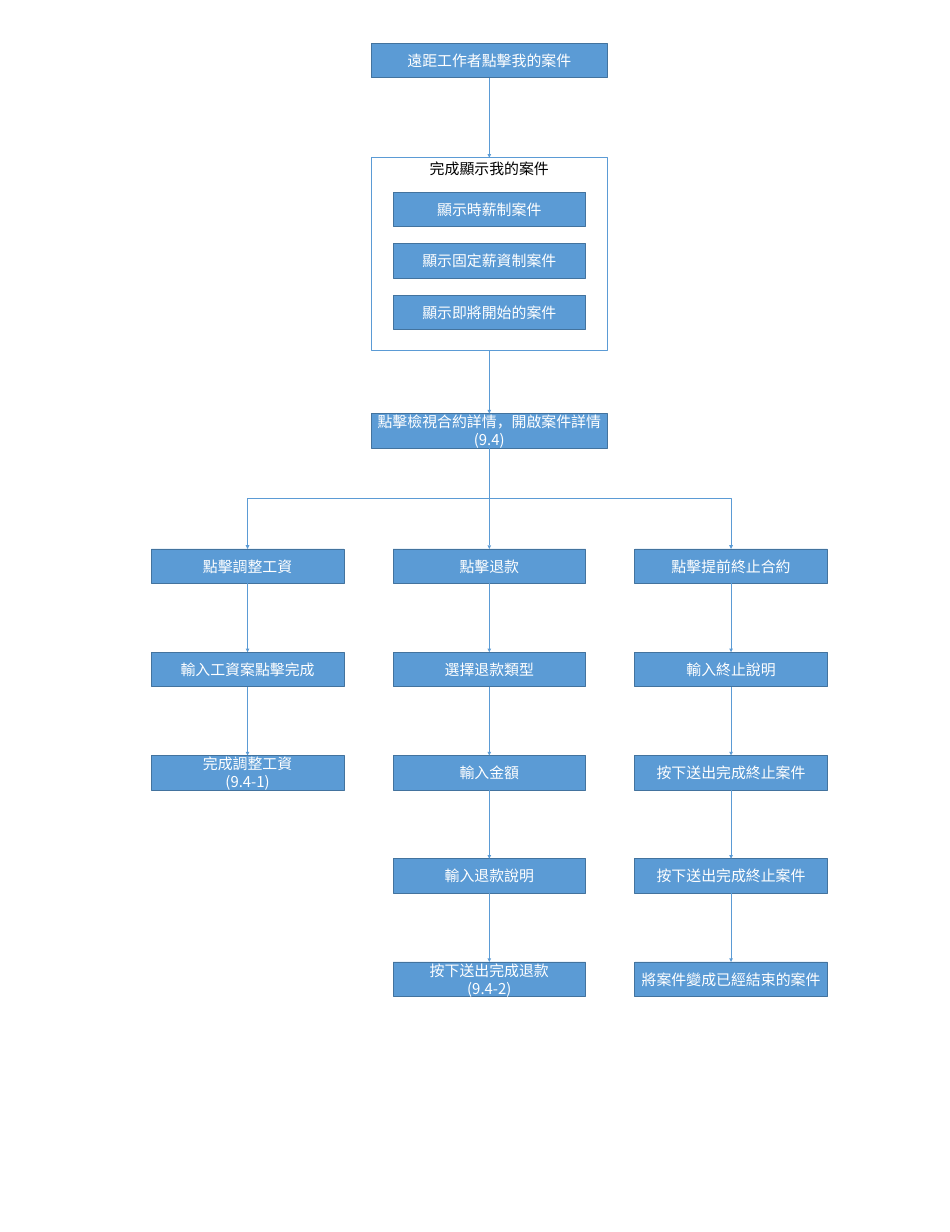
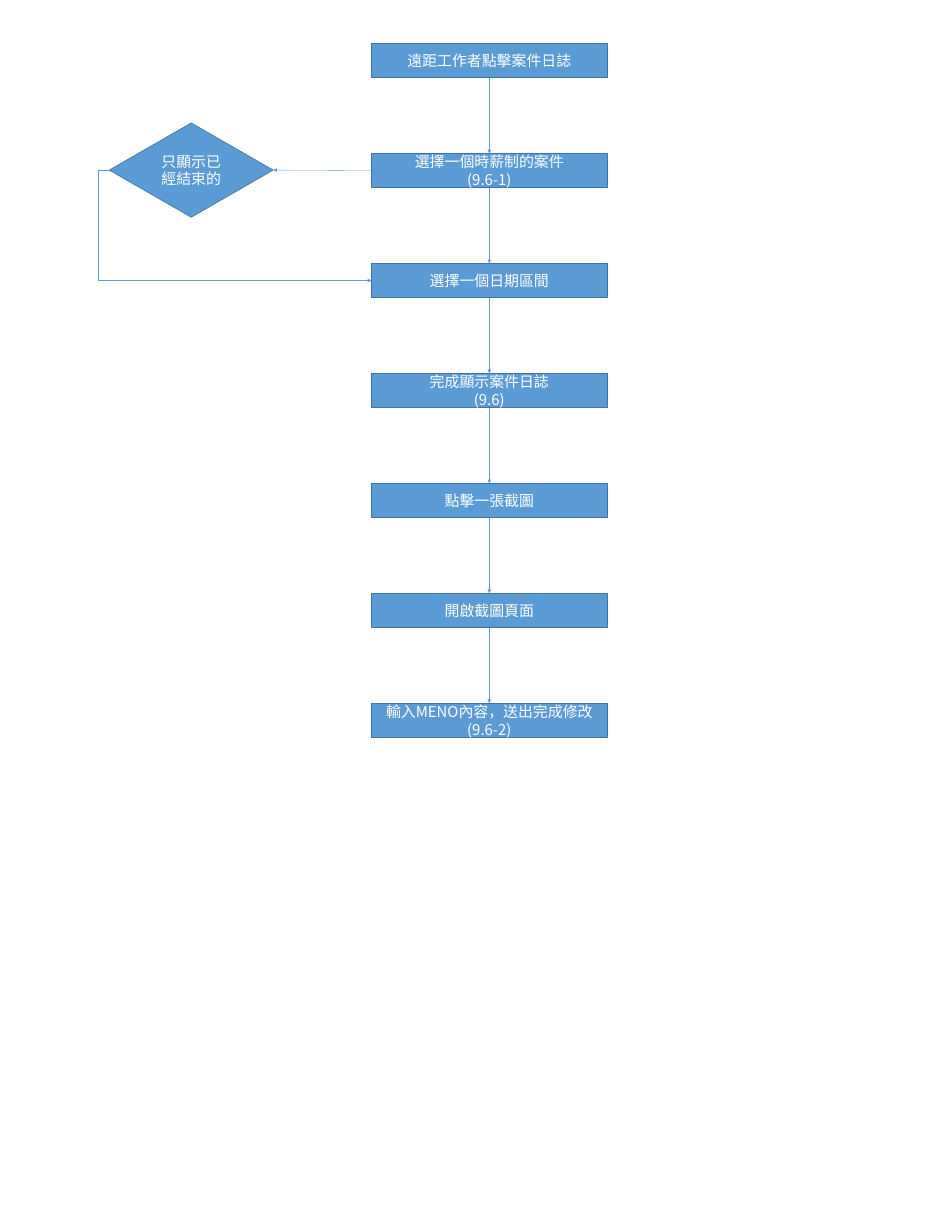
from itertools import pairwise

from lxml.etree import SubElement
from pptx import Presentation
from pptx.dml.color import RGBColor
from pptx.enum.shapes import MSO_CONNECTOR, MSO_SHAPE
from pptx.enum.text import MSO_ANCHOR, PP_ALIGN
from pptx.oxml.ns import qn
from pptx.util import Inches, Pt

COLORS = {"box": "5B9BD5", "border": "43739E", "white": "FFFFFF", "black": "000000"}
CJK_FONT = "Noto Sans CJK SC"
LATIN_FONT = "Calibri"

# Each box is a list of its lines.
CASES_START = ["遠距工作者點擊我的案件"]
CASES_PANEL = ["完成顯示我的案件"]
CASE_LISTS = [["顯示時薪制案件"], ["顯示固定薪資制案件"], ["顯示即將開始的案件"]]
CASE_DETAILS = ["點擊檢視合約詳情，開啟案件詳情", "(9.4)"]
BRANCHES = [
    [["點擊調整工資"], ["輸入工資案點擊完成"], ["完成調整工資", "(9.4-1)"]],
    [["點擊退款"], ["選擇退款類型"], ["輸入金額"], ["輸入退款說明"],
     ["按下送出完成退款", "(9.4-2)"]],
    [["點擊提前終止合約"], ["輸入終止說明"], ["按下送出完成終止案件"],
     ["按下送出完成終止案件"], ["將案件變成已經結束的案件"]],
]
LOG_STEPS = [
    ["遠距工作者點擊案件日誌"],
    ["選擇一個時薪制的案件", "(9.6-1)"],
    ["選擇一個日期區間"],
    ["完成顯示案件日誌", "(9.6)"],
    ["點擊一張截圖"],
    ["開啟截圖頁面"],
    ["輸入MENO內容，送出完成修改", "(9.6-2)"],
]
LOG_FILTER = ["只顯示已經結束的"]

CENTER = 10.95
FIRST_TOP = 0.97
WIDE, NARROW, BOX_HEIGHT = 5.28, 4.31, 0.77
PANEL_TOP, PANEL_HEIGHT = 3.53, 4.3
LIST_TOP, LIST_STEP = 4.3, 1.15
DETAILS_TOP = 9.25
BRANCH_TOP, BRANCH_STEP, BRANCH_GAP = 12.28, 2.31, 5.41
LOG_STEP = 2.46
FILTER_CENTER, FILTER_TOP, FILTER_WIDTH, FILTER_HEIGHT = 4.28, 2.75, 3.67, 2.11

# Connection sites of rectangles and diamonds
TOP, LEFT, BOTTOM, RIGHT = range(4)


def color(name):
    return RGBColor.from_string(COLORS[name])


def add_box(slide, lines, center, top, width=WIDE, height=BOX_HEIGHT,
            kind=MSO_SHAPE.RECTANGLE, fill="box", border="border", ink="white",
            anchor=MSO_ANCHOR.MIDDLE, font_name=CJK_FONT):
    shape = slide.shapes.add_shape(kind, Inches(center - width / 2), Inches(top),
                                   Inches(width), Inches(height))
    shape.shadow.inherit = False
    shape.fill.solid()
    shape.fill.fore_color.rgb = color(fill)
    shape.line.color.rgb = color(border)
    shape.line.width = Pt(1)
    frame = shape.text_frame
    frame.word_wrap = True
    frame.vertical_anchor = anchor
    frame.text = "\n".join(lines)
    for paragraph in frame.paragraphs:
        paragraph.alignment = PP_ALIGN.CENTER
        paragraph.font.size = Pt(24)
        paragraph.font.color.rgb = color(ink)
        paragraph.font.name = font_name
        properties = paragraph._p.pPr.find(qn("a:defRPr"))
        SubElement(properties, qn("a:ea"), typeface=CJK_FONT)
    return shape


def add_arrow(slide, source, target, source_site=BOTTOM, target_site=TOP,
              kind=MSO_CONNECTOR.STRAIGHT):
    arrow = slide.shapes.add_connector(kind, 0, 0, 0, 0)
    arrow.begin_connect(source, source_site)
    arrow.end_connect(target, target_site)
    arrow.line.color.rgb = color("box")
    arrow.line.width = Pt(0.5)
    SubElement(arrow.line._get_or_add_ln(), qn("a:tailEnd"), type="triangle")
    SubElement(arrow._element.spPr, qn("a:effectLst"))
    return arrow


def turn_downward(arrow):
    """Make an elbow arrow leave its source vertically instead of sideways."""
    goes_right = arrow.end_x > arrow.begin_x
    left, top, width, height = arrow.left, arrow.top, arrow.width, arrow.height
    arrow.left = left + (width - height) // 2
    arrow.top = top + (height - width) // 2
    arrow.width, arrow.height = height, width
    transform = arrow._element.spPr.find(qn("a:xfrm"))
    transform.set("rot", str((270 if goes_right else 90) * 60000))
    transform.set("flipH", "1" if goes_right else "0")


def add_chain(slide, steps, center, top, step, width):
    boxes = [add_box(slide, lines, center, top + row * step, width)
             for row, lines in enumerate(steps)]
    for source, target in pairwise(boxes):
        add_arrow(slide, source, target)
    return boxes


def build_cases(slide):
    start = add_box(slide, CASES_START, CENTER, FIRST_TOP)
    panel = add_box(slide, CASES_PANEL, CENTER, PANEL_TOP, height=PANEL_HEIGHT,
                    fill="white", border="box", ink="black", anchor=MSO_ANCHOR.TOP)
    for row, lines in enumerate(CASE_LISTS):
        add_box(slide, lines, CENTER, LIST_TOP + row * LIST_STEP, NARROW)
    details = add_box(slide, CASE_DETAILS, CENTER, DETAILS_TOP)
    add_arrow(slide, start, panel)
    add_arrow(slide, panel, details)
    for column, steps in enumerate(BRANCHES, start=-1):
        boxes = add_chain(slide, steps, CENTER + column * BRANCH_GAP,
                          BRANCH_TOP, BRANCH_STEP, NARROW)
        if column:
            turn_downward(add_arrow(slide, details, boxes[0], kind=MSO_CONNECTOR.ELBOW))
        else:
            add_arrow(slide, details, boxes[0])


def build_log(slide):
    boxes = add_chain(slide, LOG_STEPS, CENTER, FIRST_TOP, LOG_STEP, WIDE)
    case_choice, date_choice = boxes[1:3]
    log_filter = add_box(slide, LOG_FILTER, FILTER_CENTER, FILTER_TOP, FILTER_WIDTH,
                         FILTER_HEIGHT, MSO_SHAPE.DIAMOND, font_name=LATIN_FONT)
    add_arrow(slide, case_choice, log_filter, LEFT, RIGHT)
    detour = add_arrow(slide, log_filter, date_choice, LEFT, LEFT, MSO_CONNECTOR.ELBOW)
    # The bend lies left of the diamond, so its adjustment is negative.
    adjustments = detour._element.spPr.find(qn("a:prstGeom")).get_or_add_avLst()
    SubElement(adjustments, qn("a:gd"), name="adj1", fmla="val -4300")


def main():
    presentation = Presentation()
    presentation.slide_width = Inches(21.26)
    presentation.slide_height = Inches(27.56)
    blank_layout = presentation.slide_layouts[6]
    for build in (build_cases, build_log):
        build(presentation.slides.add_slide(blank_layout))
    presentation.save("out.pptx")


if __name__ == "__main__":
    main()
